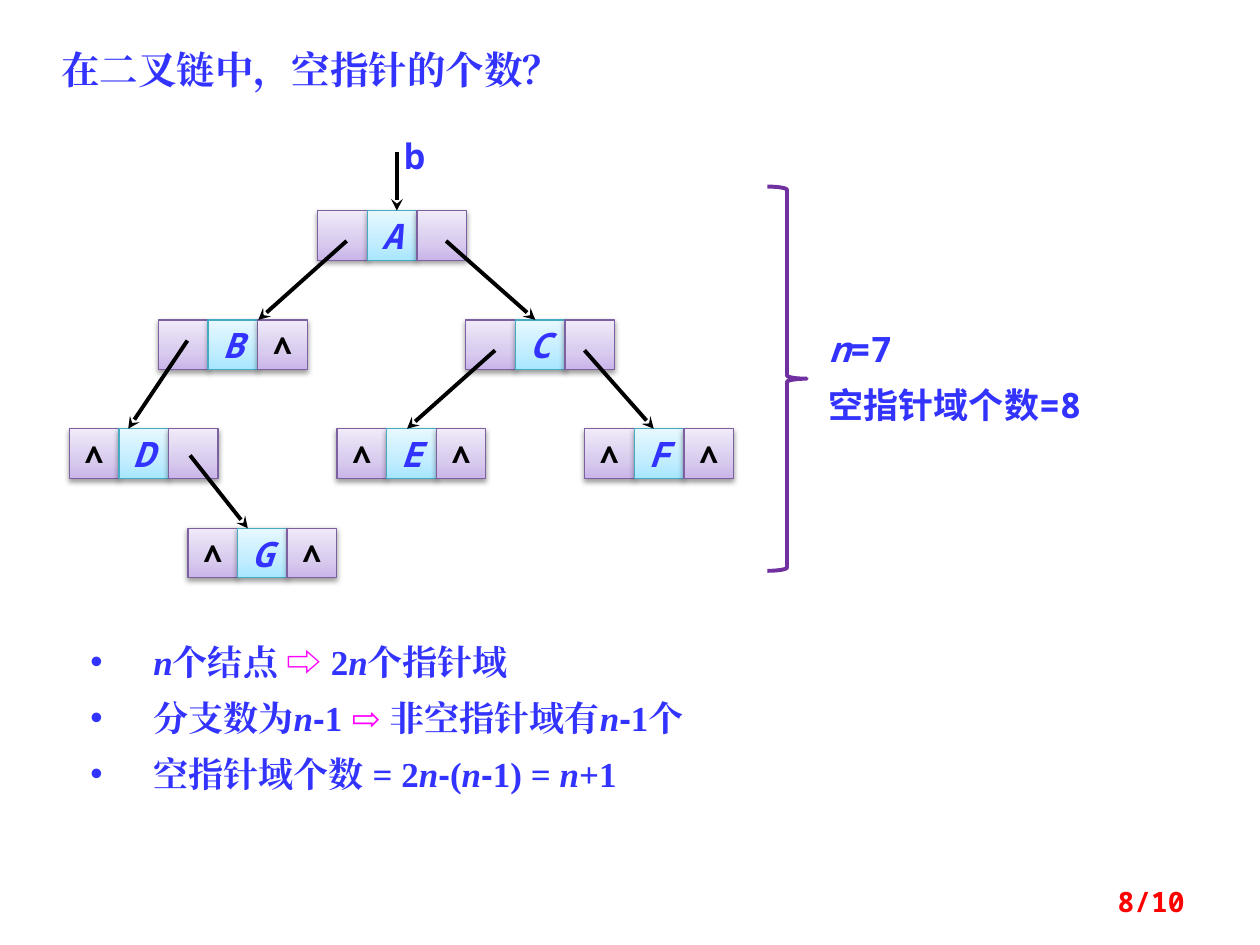
from lxml import etree
from copy import deepcopy
from pptx import Presentation
from pptx import util as u
from pptx.dml.color import RGBColor
from pptx.enum import shapes, text
from pptx.oxml import ns

Pt = u.Pt
BLUE, BLACK, PINK, PURPLE, RED = "3333FF", "000000", "FF00FF", "7030A0", "FF0000"
MONO, SERIF, SANS = "Noto Sans Mono", "Times New Roman", "Arial"
CELL = 28.35
POINTER_STYLE = (("C9B5E8", "D8CBEE", "F0EAF9"), "7D60A0")
DATA_STYLE = (("A7E6FF", "C1EDFF", "E7F8FF"), "46AAC5")

# Letter, left, top, has left child, has right child
NODES = [
    ("A", 142, 47.2, True, True),
    ("B", 51, 109.6, True, False),
    ("D", 0, 171.8, False, True),
    ("G", 67.8, 228.7, False, False),
    ("C", 226.6, 109.6, True, True),
    ("E", 153, 171.8, False, False),
    ("F", 294.5, 171.8, False, False),
]
# Start and end of each link
LINKS = [
    ((158.5, 64.5), (108, 109.6)),
    ((67.5, 121.4), (33.7, 171.8)),
    ((215.3, 64.5), (266.3, 109.6)),
    ((69, 187), (102, 228.7)),
    ((243.3, 127), (193, 171.8)),
    ((294.4, 127), (334, 171.8)),
    ((187.2, 13.4), (187.2, 47.2)),
]
BULLETS = [
    [("n", "i"), ("个结点 ", ""), ("⇨ ", "arrow"), ("2", ""), ("n", "i"), ("个指针域", "")],
    [("分支数为", ""), ("n", "i"), ("-", "sans"), ("1 ", ""), ("⇨", "arrow"),
     (" 非空指针域有", ""), ("n", "i"), ("-", "sans"), ("1个", "")],
    [("空指针域个数 = 2", ""), ("n", "i"), ("-", "sans"), ("(", ""), ("n", "i"),
     ("-", "sans"), ("1) = ", ""), ("n", "i"), ("+1", "")],
]


def rgb(value):
    return RGBColor.from_string(value)


def add_element(parent, tag, **attributes):
    return etree.SubElement(parent, ns.qn(tag), attributes)


def add_span(para, words, size, font=MONO, color=BLUE, italic=False):
    span = para.add_run()
    span.text = words
    span.font.size = Pt(size)
    span.font.name = font
    span.font.bold = True
    span.font.italic = italic
    span.font.color.rgb = rgb(color)
    add_element(span.font._element, "a:ea", typeface=font)


def add_box(page, left, top, width, height):
    box = page.shapes.add_textbox(Pt(left), Pt(top), Pt(width), Pt(height))
    box.text_frame.word_wrap = True
    return box.text_frame


def add_para(frame, index):
    para = frame.add_paragraph() if index else frame.paragraphs[0]
    para.line_spacing = Pt(32)
    return para


def add_cell(page, left, top, style, words="", **look):
    colors, line_color = style
    cell = page.shapes.add_shape(shapes.MSO_SHAPE.RECTANGLE, Pt(left), Pt(top), Pt(CELL), Pt(CELL))
    cell.line.color.rgb = rgb(line_color)
    cell.line.width = Pt(0.75)

    cell.fill.gradient()
    cell.fill.gradient_angle = 90
    stop_list = cell._element.spPr.find(".//" + ns.qn("a:gsLst"))
    stop_list.append(deepcopy(stop_list[-1]))
    for stop, color, position in zip(cell.fill.gradient_stops, colors, (0, 0.35, 1)):
        stop.color.rgb = rgb(color)
        stop.position = position

    cell.shadow.inherit = False
    effects = cell._element.spPr.find(ns.qn("a:effectLst"))
    shadow = add_element(effects, "a:outerShdw", blurRad=str(Pt(3.1)), dist=str(Pt(1.6)),
                         dir="5400000", rotWithShape="0")
    add_element(add_element(shadow, "a:srgbClr", val=BLACK), "a:alpha", val="38000")

    if words:
        frame = cell.text_frame
        frame.word_wrap = False
        frame.vertical_anchor = text.MSO_ANCHOR.MIDDLE
        frame.paragraphs[0].alignment = text.PP_ALIGN.CENTER
        add_span(frame.paragraphs[0], words, **look)


def add_node(page, left, top, letter, has_left, has_right):
    """Draw a left pointer, a data cell and a right pointer side by side."""
    null = dict(size=18, color=BLACK)
    add_cell(page, left, top, POINTER_STYLE, "" if has_left else "∧", **null)
    add_cell(page, left + CELL, top, DATA_STYLE, letter, size=20, italic=True)
    add_cell(page, left + 2 * CELL, top, POINTER_STYLE, "" if has_right else "∧", **null)


def add_arrow(page, left, top, start, end):
    arrow = page.shapes.add_connector(
        shapes.MSO_CONNECTOR.STRAIGHT, Pt(left + start[0]), Pt(top + start[1]),
        Pt(left + end[0]), Pt(top + end[1]))
    arrow.line.color.rgb = rgb(BLACK)
    arrow.line.width = Pt(2.25)
    add_element(arrow.line._get_or_add_ln(), "a:tailEnd", type="stealth")
    add_element(arrow._element.spPr, "a:effectLst")


def draw_tree(page, left, top):
    for letter, x, y, has_left, has_right in NODES:
        add_node(page, left + x, top + y, letter, has_left, has_right)
    for start, end in LINKS:
        add_arrow(page, left, top, start, end)
    para = add_box(page, left + 172, top, 51, 31).paragraphs[0]
    para.alignment = text.PP_ALIGN.CENTER
    add_span(para, "b", 20)


def draw_title(page, left, top, width, height):
    para = add_box(page, left, top, width, height).paragraphs[0]
    add_span(para, "在二叉链中，空指针的个数？", 22, SERIF)


def draw_bullets(page, left, top, width, height):
    frame = add_box(page, left, top, width, height)
    for index, parts in enumerate(BULLETS):
        para = add_para(frame, index)
        properties = para._p.get_or_add_pPr()
        properties.set("marL", str(Pt(36)))
        properties.set("indent", str(Pt(-36)))
        add_element(properties, "a:buFont", typeface=SANS)
        add_element(properties, "a:buChar", char="•")
        for words, kind in parts:
            add_span(para, words, 20, SANS if kind == "sans" else SERIF,
                     PINK if kind == "arrow" else BLUE, kind == "i")


def draw_summary(page, left, top, width, height):
    """Draw the brace and, beside its middle, the counts."""
    brace = page.shapes.add_shape(shapes.MSO_SHAPE.RIGHT_BRACE, Pt(left), Pt(top), Pt(22.5), Pt(height))
    brace.shadow.inherit = False
    brace.fill.background()
    brace.line.color.rgb = rgb(PURPLE)
    brace.line.width = Pt(2.25)

    frame = add_box(page, left + 28, top + 69, width - 28, 68.5)
    para = add_para(frame, 0)
    add_span(para, "n", 20, italic=True)
    add_span(para, "=7", 20)
    add_span(add_para(frame, 1), "空指针域个数=8", 20)


def draw_page_number(page, left, top, width, height):
    frame = add_box(page, left, top, width, height)
    frame.vertical_anchor = text.MSO_ANCHOR.MIDDLE
    frame.paragraphs[0].alignment = text.PP_ALIGN.RIGHT
    add_span(frame.paragraphs[0], "8/10", 16, color=RED)


def main():
    deck = Presentation()
    deck.slide_width, deck.slide_height = Pt(720), Pt(540)
    page = deck.slides.add_slide(deck.slide_layouts[6])
    draw_tree(page, 39.6, 73.2)
    draw_title(page, 28, 22.5, 348.5, 34)
    draw_bullets(page, 44.6, 354.2, 438.5, 104.4)
    draw_summary(page, 438.5, 106.6, 242, 219.6)
    draw_page_number(page, 516, 500.5, 168, 28.8)
    deck.save("out.pptx")


if __name__ == "__main__":
    main()
